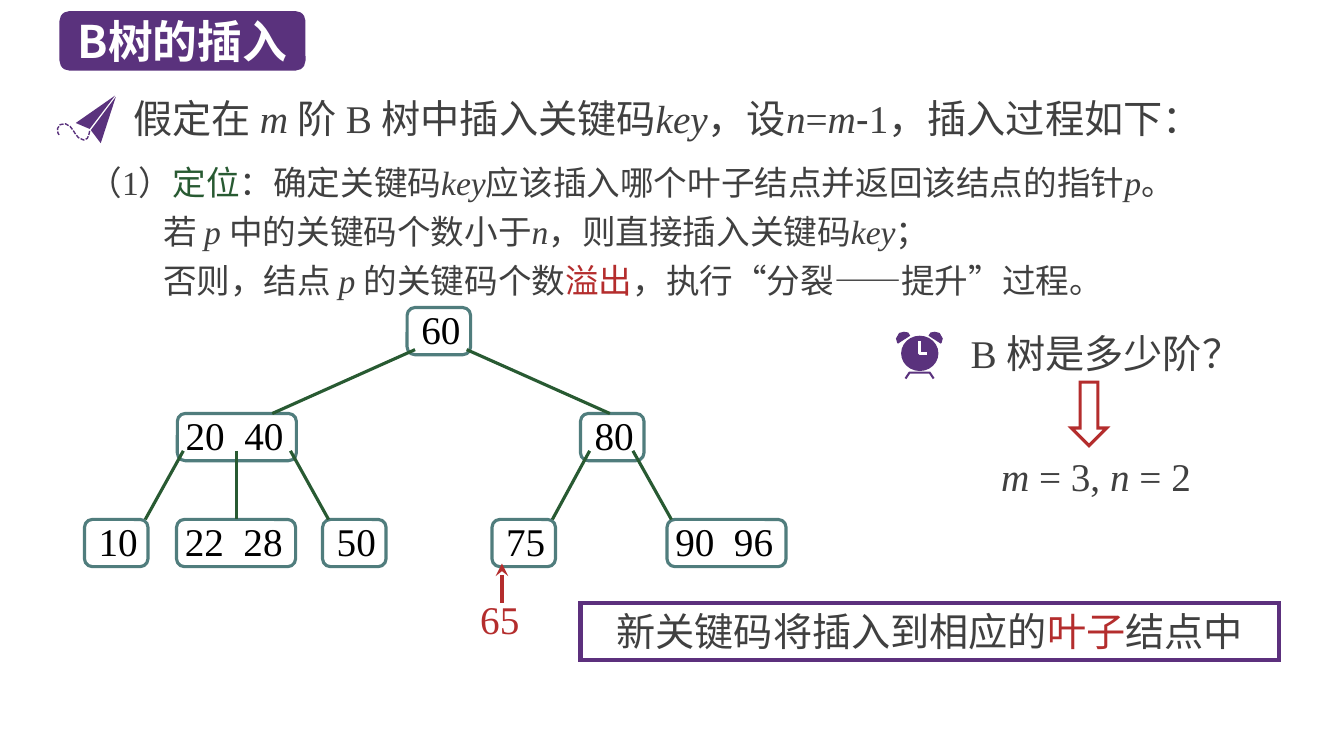
"""Build a slide on locating the leaf when inserting a key into a B-tree."""
import lxml.etree
import pptx
import pptx.dml.color
import pptx.enum.dml
import pptx.enum.shapes
import pptx.enum.text
import pptx.oxml.ns
import pptx.util

Cm, Pt = pptx.util.Cm, pptx.util.Pt
RGBColor = pptx.dml.color.RGBColor
RGB = RGBColor.from_string
SHAPE = pptx.enum.shapes.MSO_SHAPE
ALIGN = pptx.enum.text.PP_ALIGN
MIDDLE = pptx.enum.text.MSO_ANCHOR.MIDDLE
qn = pptx.oxml.ns.qn


class Theme:
    purple, frame = RGB("5A327D"), RGB("5C307D")
    green, teal, red = RGB("285A32"), RGB("507D7D"), RGB("B42D2D")
    text, black, white = RGB("404040"), RGB("000000"), RGB("FFFFFF")
    serif, sans, cjk = "Times New Roman", "Arial", "Noto Sans CJK SC"
    title, body, steps = Pt(32), Pt(28), Pt(24)
    thin, edge, thick = Pt(1), Pt(2.25), Pt(3)


def write(p, parts, size=Theme.body, color=Theme.text, font=Theme.serif):
    """Fill a paragraph from (text, style) parts: "", "i", "sans" or a colour."""
    for text, style in parts:
        r = p.add_run()
        r.text = text
        r.font.size = size
        r.font.name = Theme.sans if style == "sans" else font
        r.font.italic = style == "i"
        r.font.color.rgb = style if isinstance(style, RGBColor) else color
        ea = lxml.etree.SubElement(r.font._element, qn("a:ea"))
        ea.set("typeface", Theme.cjk)


def outline(points, fill=None, line=None, width=Theme.thin):
    """Draw a filled polygon, or an open line when no fill is given."""
    pts = [(Cm(x), Cm(y)) for x, y in points]
    fb = s.shapes.build_freeform(*pts[0])
    fb.add_line_segments(pts[1:], close=fill is not None)
    sp = fb.convert_to_shape()
    sp.shadow.inherit = False
    if fill is None:
        sp.fill.background()
        sp.line.color.rgb = line
        sp.line.width = width
    else:
        sp.fill.solid()
        sp.fill.fore_color.rgb = fill
        sp.line.fill.background()
    return sp


prs = pptx.Presentation()
prs.slide_width, prs.slide_height = Cm(33.87), Cm(19.05)
s = prs.slides.add_slide(prs.slide_layouts[6])

badge = s.shapes.add_shape(SHAPE.ROUNDED_RECTANGLE, Cm(1.5), Cm(0.28), Cm(6.2), Cm(1.5))
badge.shadow.inherit = False
badge.fill.solid()
badge.fill.fore_color.rgb = Theme.purple
badge.line.fill.background()
tf = badge.text_frame
tf.word_wrap = False
tf.margin_left = tf.margin_right = Cm(0.1)
tf.margin_top = tf.margin_bottom = 0
tf.vertical_anchor = MIDDLE
p = tf.paragraphs[0]
p.alignment = ALIGN.CENTER
write(p, [("B树的插入", "")], Theme.title, Theme.white, Theme.cjk)
p.runs[0].font.bold = True

texts = [
    ((3.12, 2.24, 29.08, 1.45), Theme.body, ALIGN.LEFT, [
        [("假定在 ", ""), ("m ", "i"), ("阶 B 树中插入关键码", ""), ("key", "i"),
         ("，设", ""), ("n", "i"), ("=", ""), ("m", "i"), ("-", "sans"),
         ("1，插入过程如下：", "")]]),
    ((1.98, 3.73, 30.25, 3.99), Theme.steps, ALIGN.LEFT, [
        [("（1）", ""), ("定位", Theme.green), ("：确定关键码", ""), ("key", "i"),
         ("应该插入哪个叶子结点并返回该结点的指针", ""), ("p", "i"), ("。", "")],
        [("若 ", ""), ("p ", "i"), ("中的关键码个数小于", ""), ("n", "i"),
         ("，则直接插入关键码", ""), ("key", "i"), ("；", "")],
        [("否则，结点 ", ""), ("p ", "i"), ("的关键码个数", ""), ("溢出", Theme.red),
         ("，执行“分裂——提升”过程。", "")]]),
    ((24.21, 8.18, 7.67, 1.45), Theme.body, ALIGN.LEFT, [[("B 树是多少阶？", "")]]),
    ((23.57, 11.28, 8.1, 1.45), Theme.body, ALIGN.CENTER, [
        [("m", "i"), (" = 3, ", ""), ("n", "i"), (" = 2", "")]]),
    ((14.63, 15.19, 17.6, 1.45), Theme.body, ALIGN.CENTER, [
        [("新关键码将插入到相应的", ""), ("叶子", Theme.red), ("结点中", "")]]),
]
for box, size, align, paragraphs in texts:
    note = s.shapes.add_textbox(*map(Cm, box))
    tf = note.text_frame
    tf.word_wrap = True
    for i, parts in enumerate(paragraphs):
        p = tf.add_paragraph() if i else tf.paragraphs[0]
        p.alignment = align
        if len(paragraphs) > 1:
            p.line_spacing = Pt(35)
        if i:
            p._p.get_or_add_pPr().set("marL", str(Cm(1.88)))
        write(p, parts, size)

arrow = s.shapes.add_shape(SHAPE.DOWN_ARROW, Cm(27), Cm(9.63), Cm(0.89), Cm(1.6))
arrow.shadow.inherit = False
arrow.fill.background()
for sp, color, width in [(note, Theme.frame, Theme.thick), (arrow, Theme.red, Theme.edge)]:
    sp.line.color.rgb = color
    sp.line.width = width
    miter = lxml.etree.SubElement(sp.line._get_or_add_ln(), qn("a:miter"))
    miter.set("lim", "800000")

outline([(2.92, 2.44), (2.54, 3.61), (2.29, 3.28)], Theme.purple)
outline([(2.9, 2.41), (2.26, 3.25), (1.91, 3.1)], Theme.purple)
trail = outline([(2.26, 3.3), (2.24, 3.4), (2.2, 3.49), (2.11, 3.53), (1.98, 3.47),
                 (1.91, 3.39), (1.84, 3.28), (1.77, 3.19), (1.65, 3.12), (1.52, 3.14),
                 (1.45, 3.24), (1.46, 3.35), (1.49, 3.4)], line=Theme.purple)
trail.line.dash_style = pptx.enum.dml.MSO_LINE.SQUARE_DOT

bell = [(22.94, 8.46), (22.89, 8.38), (22.78, 8.36), (22.66, 8.39),
        (22.58, 8.53), (22.61, 8.64), (22.63, 8.66)]
clock_axis = 23.17
outline(bell, Theme.purple)
outline([(2 * clock_axis - x, y) for x, y in bell], Theme.purple)
face = s.shapes.add_shape(SHAPE.OVAL, Cm(22.71), Cm(8.46), Cm(0.94), Cm(0.89))
face.shadow.inherit = False
face.fill.solid()
face.fill.fore_color.rgb = Theme.purple
face.line.fill.background()
outline([(23.18, 8.6), (23.18, 8.9), (23.36, 8.9)], line=Theme.white, width=Theme.edge)
outline([(22.82, 9.54), (22.92, 9.39), (23.43, 9.39), (23.53, 9.54)],
        line=Theme.purple, width=Pt(1.5))

row_tops = [7.75 + 2.67 * level for level in range(3)]
nodes = [(0, 10.26, "60"), (1, 4.47, "20  40"), (1, 14.63, "80"), (2, 2.13, "10"),
         (2, 4.45, "22  28"), (2, 8.13, "50"), (2, 12.4, "75"), (2, 16.81, "90  96")]
boxes = [(x, row_tops[level], 1.19, keys, Theme.black) for level, x, keys in nodes]
boxes.append((11.89, 14.94, 1.3, "65", Theme.red))
for x, y, height, keys, color in boxes:
    wide = len(keys) > 2
    sp = s.shapes.add_shape(SHAPE.ROUNDED_RECTANGLE, Cm(x), Cm(y),
                            Cm(3 if wide else 1.6), Cm(height))
    sp.adjustments[0] = 0.167
    sp.shadow.inherit = False
    sp.fill.background()
    tf = sp.text_frame
    tf.margin_left, tf.margin_right = Cm(0.15), Cm(0.05)
    tf.margin_top = tf.margin_bottom = Cm(0.03)
    tf.vertical_anchor = MIDDLE
    p = tf.paragraphs[0]
    p.alignment = ALIGN.LEFT if wide or color == Theme.red else ALIGN.CENTER
    if color == Theme.red:
        sp.line.fill.background()
    else:
        sp.line.color.rgb = Theme.teal
        sp.line.width = Theme.edge
        p.line_spacing = Pt(30)
    write(p, [(keys, "")], color=color)

edge_drops = [1.06, 0.94]
edges = [(0, 10.46, 6.86), (0, 11.76, 15.37), (1, 4.62, 3.66), (1, 5.97, 5.97),
         (1, 7.32, 8.28), (1, 14.86, 13.92), (1, 15.95, 16.92)]
lines = [(x1, row_tops[level] + edge_drops[level], x2, row_tops[level + 1],
          Theme.green, Theme.edge) for level, x1, x2 in edges]
lines.append((12.65, 15.19, 12.65, 14.2, Theme.red, Theme.thick))
for x1, y1, x2, y2, color, width in lines:
    cn = s.shapes.add_connector(pptx.enum.shapes.MSO_CONNECTOR.STRAIGHT,
                                Cm(x1), Cm(y1), Cm(x2), Cm(y2))
    cn.line.color.rgb = color
    cn.line.width = width
    if color == Theme.red:
        head = lxml.etree.SubElement(cn.line._get_or_add_ln(), qn("a:tailEnd"))
        head.set("type", "stealth")
    lxml.etree.SubElement(cn._element.spPr, qn("a:effectLst"))

prs.save("out.pptx")
